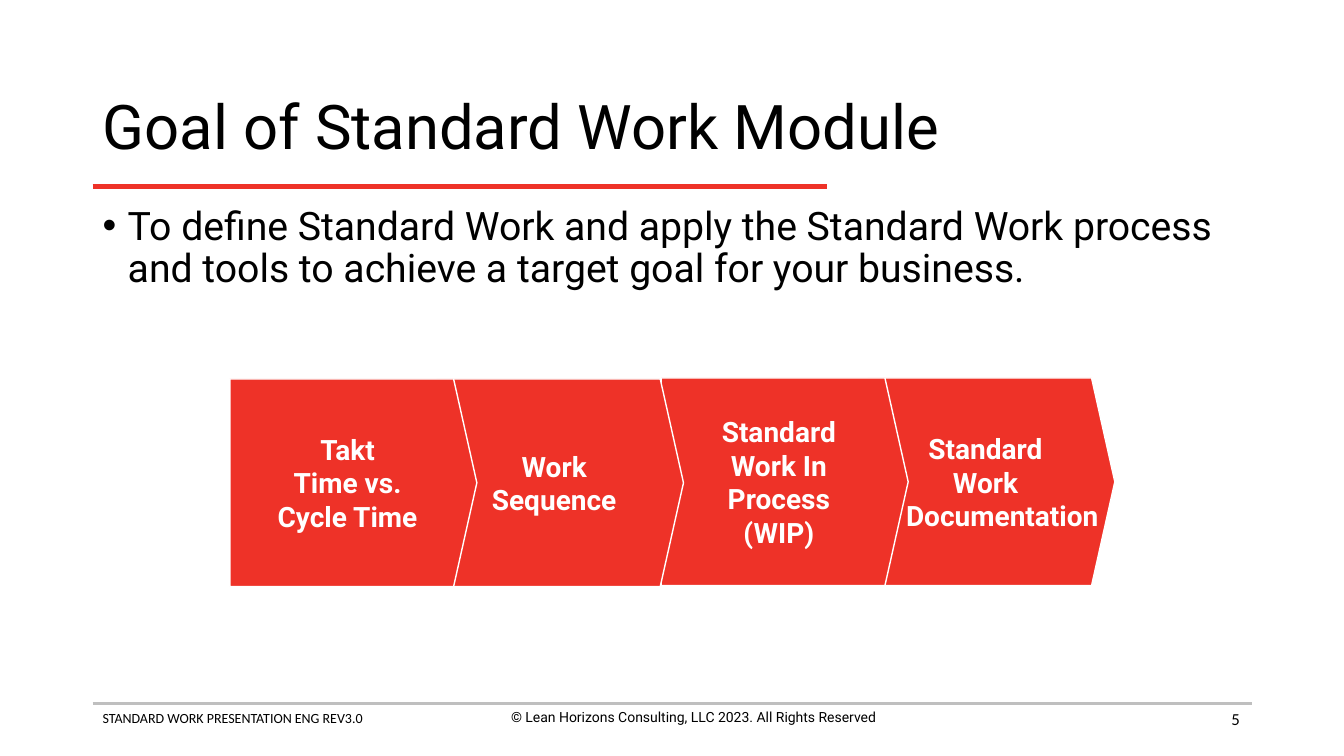
from lxml import etree
from pptx import Presentation
from pptx.dml.color import RGBColor
from pptx.enum.shapes import MSO_CONNECTOR, MSO_SHAPE
from pptx.enum.text import MSO_ANCHOR, PP_ALIGN
from pptx.oxml.ns import qn
from pptx.util import Pt

RED = RGBColor(0xEE, 0x32, 0x28)
GREY = RGBColor(0xBF, 0xBF, 0xBF)
BLACK = RGBColor(0, 0, 0)
WHITE = RGBColor(0xFF, 0xFF, 0xFF)
LEFT, CENTER, RIGHT = PP_ALIGN.LEFT, PP_ALIGN.CENTER, PP_ALIGN.RIGHT
TOP, MIDDLE = MSO_ANCHOR.TOP, MSO_ANCHOR.MIDDLE
STRAIGHT = MSO_CONNECTOR.STRAIGHT
ARROW = MSO_SHAPE.PENTAGON

STEPS = [
    "Takt\nTime vs.\nCycle Time",
    "Work\nSequence",
    "Standard\nWork In\nProcess\n(WIP)",
    "Standard\nWork\nDocumentation",
]


def style(par, size, color, font="Roboto", bold=False):
    for run in par.runs:
        run.font.name = font
        run.font.size = Pt(size)
        run.font.bold = bold
        run.font.color.rgb = color


def add_text(slide, box, text, size, font="Roboto", align=LEFT, anchor=TOP):
    shape = slide.shapes.add_textbox(*map(Pt, box))
    frame = shape.text_frame
    frame.word_wrap = True
    frame.vertical_anchor = anchor
    frame.text = text
    par = frame.paragraphs[0]
    par.alignment = align
    style(par, size, BLACK, font)
    return par


def add_rule(slide, left, top, width, color, weight):
    line = slide.shapes.add_connector(
        STRAIGHT, Pt(left), Pt(top), Pt(left + width), Pt(top))
    line.line.color.rgb = color
    line.line.width = Pt(weight)
    etree.SubElement(line._element.spPr, qn("a:effectLst"))


def add_title(slide, left, top, width, height):
    par = add_text(slide, (left, top, width, height),
                   "Goal of Standard Work Module", 44, anchor=MIDDLE)
    par.line_spacing = 0.9
    add_rule(slide, left, top + height + 0.7, 524.2, RED, 3)


def add_body(slide, *box):
    par = add_text(slide, box,
                   "To define Standard Work and apply the Standard Work process "
                   "and tools to achieve a target goal for your business.", 28)
    par.line_spacing = 0.9
    props = par._p.get_or_add_pPr()
    props.set("marL", str(Pt(18)))
    props.set("indent", str(Pt(-18)))
    etree.SubElement(props, qn("a:buFont")).set("typeface", "Arial")
    etree.SubElement(props, qn("a:buChar")).set("char", "•")


def add_steps(slide, left, top, width, height):
    # Two pairs of arrows; the second pair sits slightly higher
    pitch, pair, lift = 147.6, 308.1, 0.7
    # Right to left, so each tip overlaps the next arrow
    for i, text in reversed(list(enumerate(STEPS))):
        half, odd = divmod(i, 2)
        step = slide.shapes.add_shape(
            ARROW, Pt(left + half * pair + odd * pitch),
            Pt(top - half * lift), Pt(width), Pt(height))
        step.adjustments[0] = 0.112
        step.shadow.inherit = False
        step.fill.solid()
        step.fill.fore_color.rgb = RED
        step.line.color.rgb = WHITE
        step.line.width = Pt(1)
        frame = step.text_frame
        frame.word_wrap = False
        frame.vertical_anchor = MIDDLE
        frame.text = text
        for par in frame.paragraphs:
            par.alignment = CENTER
            style(par, 20, WHITE, bold=True)
    # Nudge the longest word clear of the neighbouring tip
        if i == len(STEPS) - 1:
            par._p.get_or_add_pPr().set("marL", str(Pt(24)))


def add_footer(slide, left, top, width):
    add_rule(slide, left, top, width, GREY, 2)
    add_text(slide, (left, top + 0.7, 328.3, 31.7),
             "STANDARD WORK PRESENTATION ENG REV3.0", 10, "Calibri")
    add_text(slide, (left + 265, top, 328.3, 31.7),
             "© Lean Horizons Consulting, LLC 2023. All Rights Reserved",
             10, align=CENTER)
    add_text(slide, (left + width - 217.4, top - 3.6, 216, 28.8),
             "5", 12, "Calibri", RIGHT, MIDDLE)


def main():
    deck = Presentation()
    deck.slide_width, deck.slide_height = Pt(960), Pt(540)
    slide = deck.slides.add_slide(deck.slide_layouts[6])
    left, width = 66.2, 828
    add_footer(slide, left, 502.6, width)
    add_title(slide, left, 53.3, width, 79.2)
    add_body(slide, left, 144, width, 342.7)
    add_steps(slide, 164.2, 270.7, 176.4, 148.3)
    deck.save("out.pptx")


if __name__ == "__main__":
    main()
